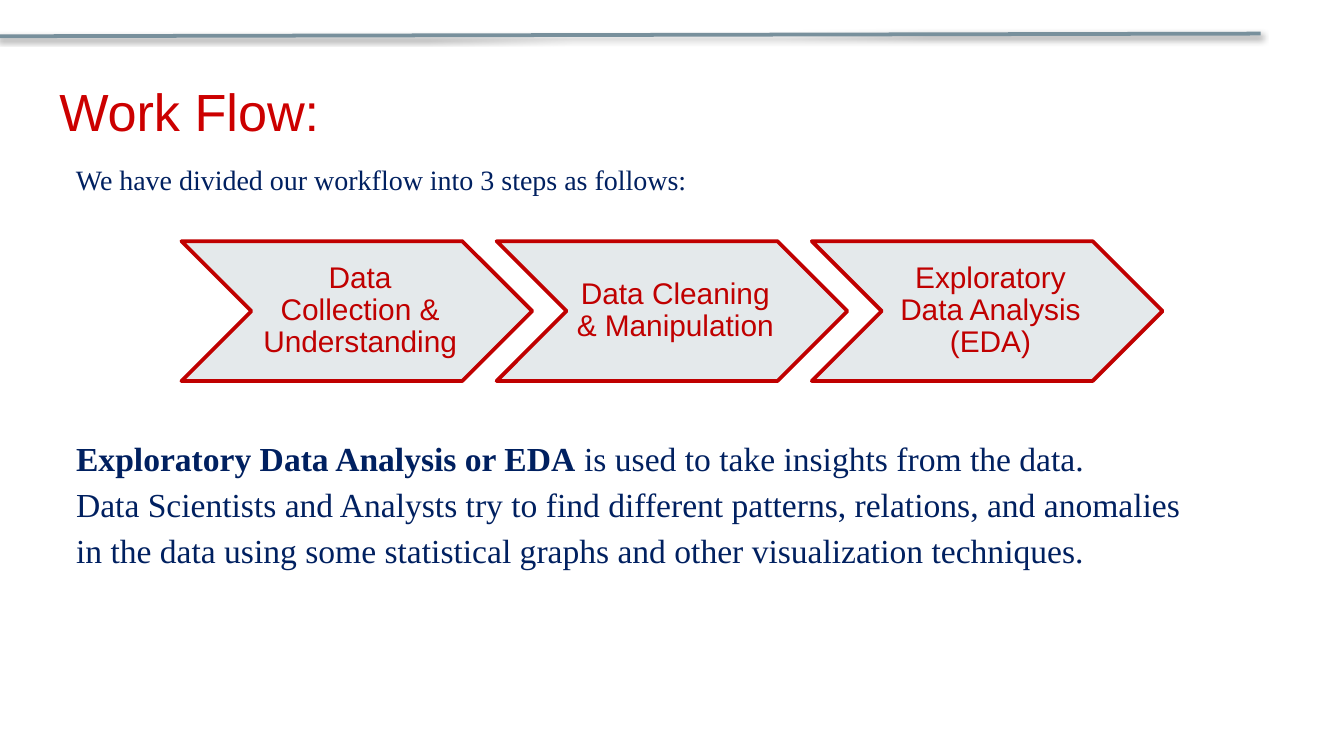
"""Build the workflow slide: title, intro, three chevron steps and an explanation."""
from lxml import etree
from pptx import Presentation
from pptx.dml.color import RGBColor
from pptx.enum.shapes import MSO_CONNECTOR as CONNECTOR, MSO_SHAPE as SHAPE
from pptx.enum.text import MSO_ANCHOR as ANCHOR, MSO_AUTO_SIZE as FIT, PP_ALIGN as ALIGN
from pptx.oxml import parse_xml
from pptx.util import Inches, Pt

WIDTH = Inches(10)
HEIGHT = WIDTH * 9 // 16
DRAWING = "http://schemas.openxmlformats.org/drawingml/2006/main"
MARGIN = 3.41
INDENT = str(Pt(9))
paint = RGBColor.from_string


def area(left, top, width, height):
    """Turn percentages of the slide into lengths."""
    return [round(share * side / 100) for share, side in
            zip((left, top, width, height), (WIDTH, HEIGHT, WIDTH, HEIGHT))]


def write(para, text, size, font, color, bold=False):
    """Add one formatted run to a paragraph."""
    span = para.add_run()
    span.text = text
    span.font.size, span.font.name, span.font.bold = Pt(size), font, bold
    span.font.color.rgb = paint(color)


deck = Presentation()
deck.slide_width, deck.slide_height = WIDTH, HEIGHT
page = deck.slides.add_slide(deck.slide_layouts[1])
title, body = page.placeholders

for box, place in ((title, area(MARGIN, 8.7, 93.2, 11.2)),
                   (body, area(MARGIN, 55.3, 87.8, 33.6))):
    box.left, box.top, box.width, box.height = place
    frame = box.text_frame
    frame.auto_size, frame.vertical_anchor = FIT.NONE, ANCHOR.TOP
    frame.margin_left = frame.margin_right = Inches(0.1)
    frame.margin_top = frame.margin_bottom = Inches(0.1)

heading = title.text_frame.paragraphs[0]
heading.alignment = ALIGN.LEFT
write(heading, "Work Flow:", 28, "Arial", "CC0000")

explanation = (
    (("Exploratory Data Analysis or EDA", True),
     (" is used to take insights from the data.", False)),
    (("Data Scientists and Analysts try to find different patterns, relations, and anomalies "
      "in the data using some statistical graphs and other visualization techniques.", False),),
)
for index, sentence in enumerate(explanation):
    para = body.text_frame.add_paragraph() if index else body.text_frame.paragraphs[0]
    para.line_spacing, para.space_before = 1.15, Pt(0)
    properties = para._p.get_or_add_pPr()
    properties.set("marL", INDENT)
    properties.set("indent", "0")
    etree.SubElement(properties, f"{{{DRAWING}}}buNone")
    for text, bold in sentence:
        write(para, text, 18, "Times New Roman", "002060", bold)

steps = ("Data Collection & Understanding", "Data Cleaning & Manipulation",
         "Exploratory Data Analysis (EDA)")
for column, step in enumerate(steps):
    chevron = page.shapes.add_shape(SHAPE.CHEVRON, *area(13.5 + 23.45 * column, 31.9, 26.1, 18.5))
    chevron.shadow.inherit = False
    chevron.fill.solid()
    chevron.fill.fore_color.rgb = paint("E4E9EB")
    chevron.line.color.rgb = paint("C00000")
    chevron.line.width = Pt(2)
    etree.SubElement(chevron.line._get_or_add_ln(), f"{{{DRAWING}}}round")
    frame = chevron.text_frame
    frame.word_wrap, frame.vertical_anchor = True, ANCHOR.MIDDLE
    frame.margin_left = Inches(0.07)
    frame.margin_top = frame.margin_right = frame.margin_bottom = Inches(0.02)
    para = frame.paragraphs[0]
    para.alignment, para.line_spacing = ALIGN.CENTER, 0.9
    write(para, step, 16, "Arial", "C00000")

start_x, start_y, end_x, end_y = area(-0.1, 4.8, 93.8, 4.45)
rule = page.shapes.add_connector(CONNECTOR.STRAIGHT, start_x, start_y, end_x, end_y)
rule.line.color.rgb = paint("78909C")
rule.line.width = Pt(2)
rule._element.spPr.append(parse_xml(
    f'<a:effectLst xmlns:a="{DRAWING}">'
    f'<a:outerShdw blurRad="{Pt(3.1)}" dist="{Pt(1.6)}" dir="5400000" rotWithShape="0">'
    '<a:srgbClr val="000000"><a:alpha val="38000"/></a:srgbClr>'
    '</a:outerShdw></a:effectLst>'))

intro = page.shapes.add_textbox(*area(MARGIN, 20.63, 50, 6.22))
intro.text_frame.word_wrap = True
intro.text_frame.auto_size = FIT.SHAPE_TO_FIT_TEXT
para = intro.text_frame.paragraphs[0]
para._p.get_or_add_pPr().set("marL", INDENT)
write(para, "We have divided our workflow into 3 steps as follows:", 15, "Times New Roman", "002060")

deck.save("out.pptx")
